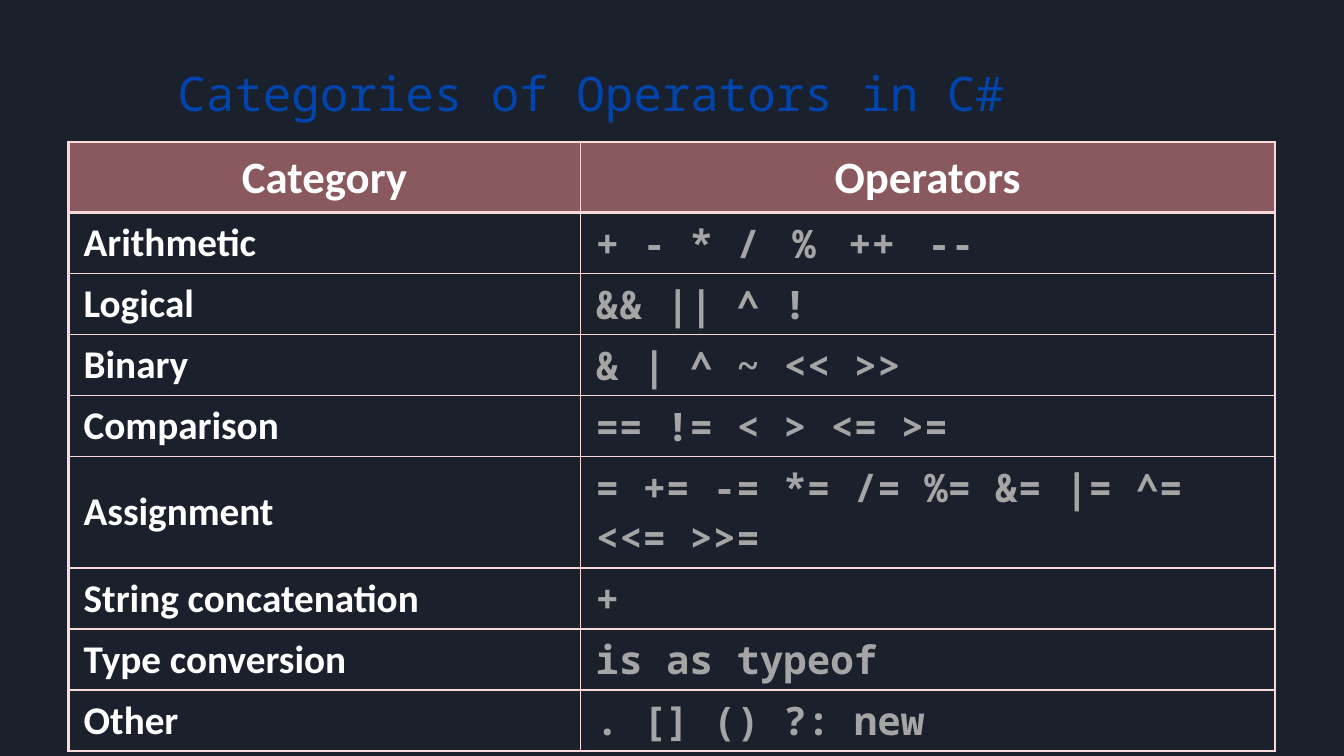
from lxml.etree import SubElement
from pptx import Presentation
from pptx.dml.color import RGBColor
from pptx.enum.text import MSO_ANCHOR, PP_ALIGN
from pptx.oxml.ns import qn
from pptx.util import Cm, Pt

COLORS = {"back": "1B212C", "title": "0145AC", "head": "F8928E",
          "line": "FCD9D8", "name": "FFFFFF", "code": "A5A5A5"}
SANS, MONO = "Calibri", "Noto Sans Mono"
THICK, THIN = Pt(2.25), Pt(1)
ROWS = [
    ("Category", "Operators"),
    ("Arithmetic", "+ - * /  %  ++  --"),
    ("Logical", "&& || ^ !"),
    ("Binary", "& | ^ ~ << >>"),
    ("Comparison", "== != < > <= >="),
    ("Assignment", "= += -= *= /= %= &= |= ^= <<= >>="),
    ("String concatenation", "+"),
    ("Type conversion", "is as typeof"),
    ("Other", ". [] () ?: new"),
]
WIDTHS = (12.9, 17.5)
HEAD, ROW, TALL = 1.78, 1.53, 2.8


def tint(key):
    return RGBColor.from_string(COLORS[key])


def style(run, font, size, key, bold=False):
    run.font.name = font
    run.font.size = Pt(size)
    run.font.bold = bold
    run.font.color.rgb = tint(key)


def edge(cell, sides):
    """Draw the cell's borders; sides maps a line tag to its width."""
    props = cell._tc.get_or_add_tcPr()
    for spot, (tag, width) in enumerate(sides.items()):
        line = SubElement(props, qn(f"a:{tag}"), w=str(int(width)))
        fill = SubElement(line, qn("a:solidFill"))
        SubElement(fill, qn("a:srgbClr"), val=COLORS["line"])
        props.insert(spot, line)


def shade(cell, head):
    if not head:
        cell.fill.background()
        return
    cell.fill.solid()
    cell.fill.fore_color.rgb = tint("head")
    color = cell._tc.tcPr.find(f".//{qn('a:srgbClr')}")
    SubElement(color, qn("a:alpha"), val="50000")


def write(cell, text, head, code):
    cell.vertical_anchor = MSO_ANCHOR.MIDDLE
    cell.margin_left = cell.margin_right = Cm(0.38)
    cell.margin_top = cell.margin_bottom = Cm(0.13)
    para = cell.text_frame.paragraphs[0]
    para.line_spacing = 0.95
    para.alignment = PP_ALIGN.CENTER if head else PP_ALIGN.LEFT
    font, key = (MONO, "code") if code else (SANS, "name")
    size = 32 if head else 28
    # The second space of a wide gap is a narrow sans one.
    first, *rest = text.split("  ")
    parts = [(first, font)]
    for part in rest:
        parts += [(" ", SANS), (" " + part, font)]
    for part, face in parts:
        run = para.add_run()
        run.text = part
        style(run, face, size, key, True)


def add_title(slide, left, top, width, height):
    frame = slide.shapes.add_textbox(Cm(left), Cm(top), Cm(width),
                                     Cm(height)).text_frame
    frame.word_wrap = True
    frame.vertical_anchor = MSO_ANCHOR.BOTTOM
    frame.text = "Categories of Operators in C#"
    para = frame.paragraphs[0]
    para.line_spacing = 0.9
    style(para.runs[0], MONO, 34, "title")


def add_grid(slide, left, top):
    highs = [HEAD] + [TALL if name == "Assignment" else ROW
                      for name, _ in ROWS[1:]]
    table = slide.shapes.add_table(
        len(ROWS), len(WIDTHS), Cm(left), Cm(top),
        Cm(sum(WIDTHS)), Cm(sum(highs))).table
    table.horz_banding = False
    for col, width in zip(table.columns, WIDTHS):
        col.width = Cm(width)
    last = len(ROWS) - 1
    for r, (row, high) in enumerate(zip(ROWS, highs)):
        table.rows[r].height = Cm(high)
        for c, text in enumerate(row):
            cell = table.cell(r, c)
            head = r == 0
            write(cell, text, head, c == 1 and not head)
            shade(cell, head)
            edge(cell, {"lnL": THICK if c == 0 else THIN,
                        "lnR": THICK if c == 1 else THIN,
                        "lnT": THICK if r < 2 else THIN,
                        "lnB": THICK if r in (0, last) else THIN})


def main():
    deck = Presentation()
    deck.slide_width, deck.slide_height = Cm(33.87), Cm(19.05)
    slide = deck.slides.add_slide(deck.slide_layouts[6])
    slide.background.fill.solid()
    slide.background.fill.fore_color.rgb = tint("back")
    add_grid(slide, 1.73, 3.58)
    add_title(slide, 4.22, 0.03, 25.4, 3.17)
    deck.save("out.pptx")


if __name__ == "__main__":
    main()
